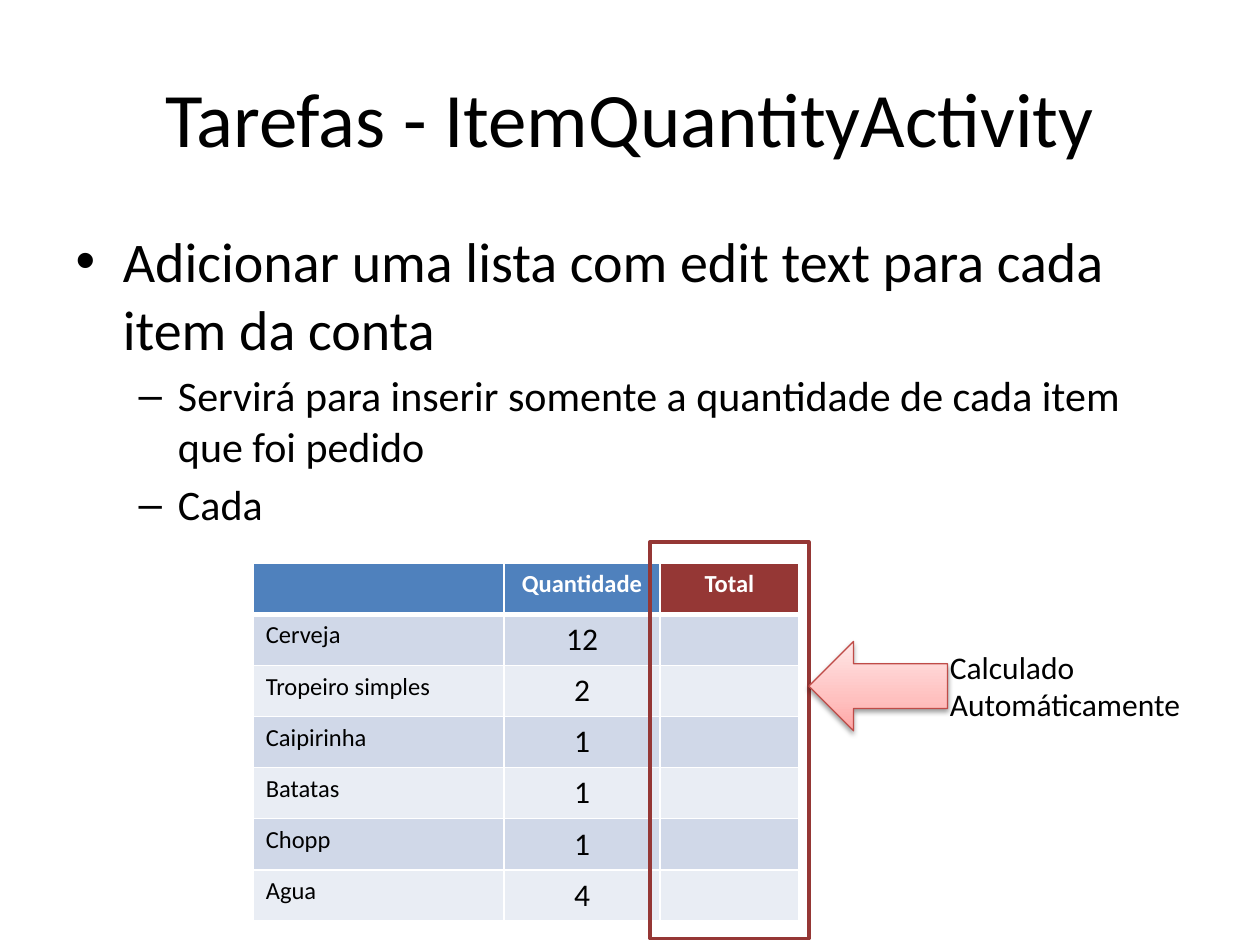
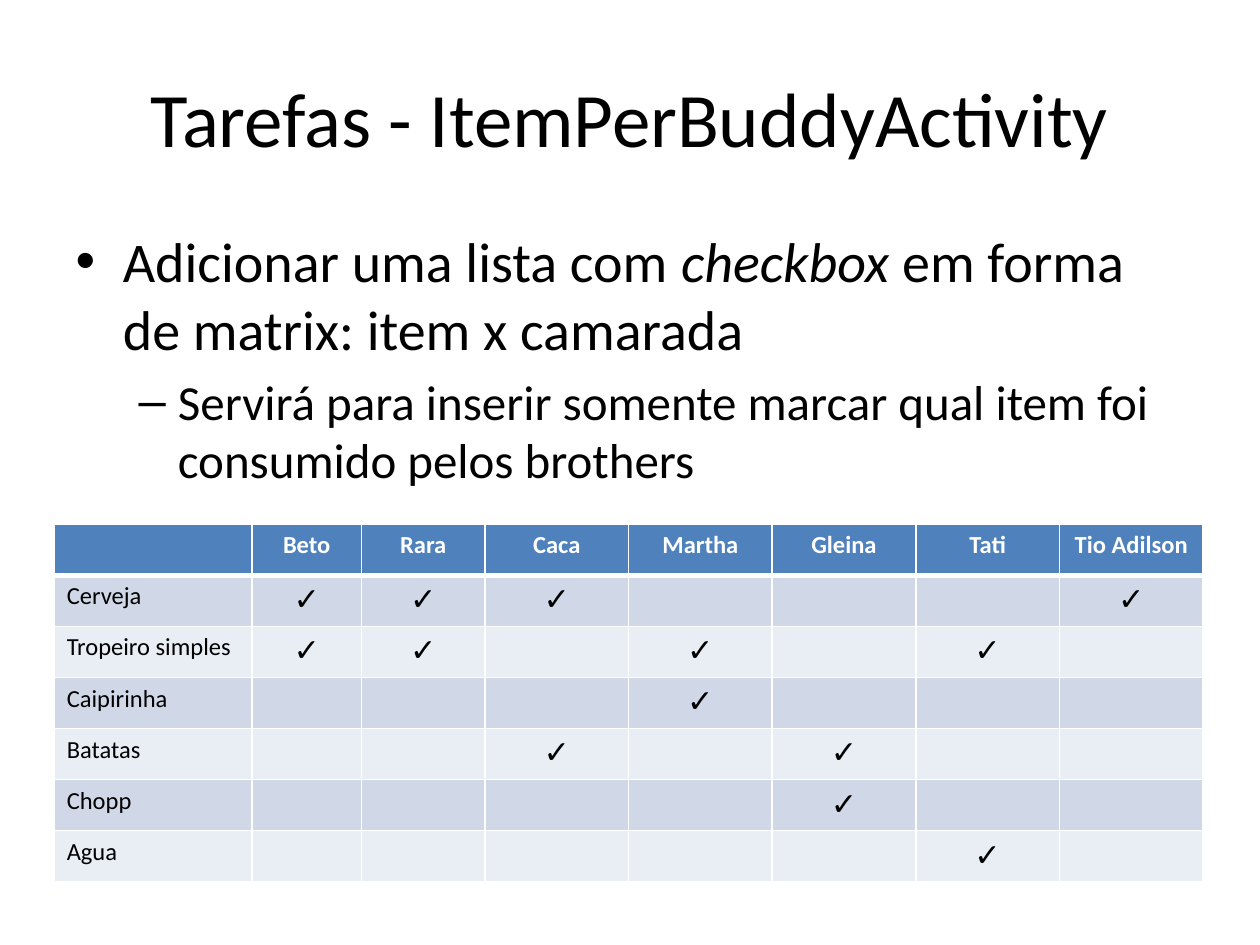
from dataclasses import dataclass

from lxml.etree import SubElement
from pptx import Presentation
from pptx.dml.color import RGBColor
from pptx.enum.shapes import MSO_SHAPE
from pptx.enum.text import MSO_AUTO_SIZE, PP_ALIGN
from pptx.oxml import parse_xml
from pptx.oxml.ns import nsdecls, qn
from pptx.util import Inches, Pt


@dataclass(frozen=True)
class Theme:
    font: str = "Calibri"
    mark_font: str = "Roboto"
    black: str = "000000"
    white: str = "FFFFFF"
    blue: str = "4F81BD"
    red: str = "953735"
    bands: tuple = ("D0D8E8", "E9EDF4")
    arrow_stops: tuple = ((0, "FFA6A5"), (35, "FFC0BF"), (100, "FFE7E7"))
    arrow_line: str = "BF4C48"
    title: int = 44
    lead: int = 32
    point: int = 28
    small: int = 24
    value: int = 18
    label: int = 14


THEME = Theme()
ITEMS = ["Cerveja", "Tropeiro simples", "Caipirinha", "Batatas", "Chopp", "Agua"]
COUNTS = ["12", "2", "1", "1", "1", "4"]
BUDDIES = ["Beto", "Rara", "Caca", "Martha", "Gleina", "Tati", "Tio Adilson"]
EATEN = {
    "Cerveja": ["Beto", "Rara", "Caca", "Tio Adilson"],
    "Tropeiro simples": ["Beto", "Rara", "Martha", "Tati"],
    "Caipirinha": ["Martha"],
    "Batatas": ["Caca", "Gleina"],
    "Chopp": ["Gleina"],
    "Agua": ["Tati"],
}
ROW = 0.405


def box(*sizes):
    return [Inches(size) for size in sizes]


def write(para, text, size=THEME.value, font=THEME.font, color=THEME.black,
          bold=False, italic=False, align=None):
    """Add one formatted run to a paragraph."""
    run = para.add_run()
    run.text = text
    run.font.size = Pt(size)
    run.font.name = font
    run.font.bold = bold
    run.font.italic = italic
    run.font.color.rgb = RGBColor.from_string(color)
    if align is not None:
        para.alignment = align


def place(shape, *area):
    shape.left, shape.top, shape.width, shape.height = box(*area)


def add_slide(deck, title, points):
    """Add a titled list; each point is (level, size, parts), odd parts italic."""
    slide = deck.slides.add_slide(deck.slide_layouts[1])
    head, body = slide.placeholders
    place(head, 0.5, 0.3, 9, 1.25)
    place(body, 0.5, 1.75, 9, 4.95)
    write(head.text_frame.paragraphs[0], title, size=THEME.title,
          align=PP_ALIGN.CENTER)
    frame = body.text_frame
    for index, (level, size, parts) in enumerate(points):
        para = frame.add_paragraph() if index else frame.paragraphs[0]
        para.level = level
        for spot, part in enumerate(parts):
            write(para, part, size=size, italic=spot % 2 == 1)
    return slide


def paint(cell, color):
    cell.fill.solid()
    cell.fill.fore_color.rgb = RGBColor.from_string(color)


def edge(cell, row):
    """Draw white cell borders, with a thick rule under the header row."""
    props = cell._tc.get_or_add_tcPr()
    for spot, side in enumerate("LRTB"):
        thick = (row, side) in ((0, "B"), (1, "T"))
        line = parse_xml(
            f'<a:ln{side} {nsdecls("a")} w="{Pt(3 if thick else 1)}"><a:solidFill>'
            f'<a:srgbClr val="{THEME.white}"/></a:solidFill></a:ln{side}>')
        props.insert(spot, line)


def add_grid(slide, left, top, widths, rows, font=THEME.font, accent=None):
    """Add a table with a header row; accent is the index of a red header."""
    frame = slide.shapes.add_table(
        len(rows), len(widths), *box(left, top, sum(widths), ROW * len(rows)))
    table = frame.table
    for column, width in zip(table.columns, widths):
        column.width = Inches(width)
    for r, texts in enumerate(rows):
        table.rows[r].height = Inches(ROW)
        for c, text in enumerate(texts):
            cell = table.cell(r, c)
            if r == 0:
                paint(cell, THEME.red if c == accent else THEME.blue)
                style = dict(size=THEME.label, color=THEME.white, bold=True,
                             align=PP_ALIGN.CENTER)
            else:
                paint(cell, THEME.bands[(r - 1) % 2])
                style = (dict(font=font, align=PP_ALIGN.CENTER) if c
                         else dict(size=THEME.label))
            edge(cell, r)
            if text:
                write(cell.text_frame.paragraphs[0], text, **style)


def add_form(slide, kind, area, color, width):
    shape = slide.shapes.add_shape(kind, *box(*area))
    shape.shadow.inherit = False
    shape.fill.background()
    shape.line.color.rgb = RGBColor.from_string(color)
    shape.line.width = Pt(width)
    return shape


def shade(shape):
    """Give a shape the upward red gradient and a soft shadow below."""
    shape.fill.gradient()
    props = shape._element.spPr
    stops = props.find(qn("a:gradFill")).find(qn("a:gsLst"))
    for stop in list(stops):
        stops.remove(stop)
    for spot, color in THEME.arrow_stops:
        stop = SubElement(stops, qn("a:gs"), pos=str(spot * 1000))
        SubElement(stop, qn("a:srgbClr"), val=color)
    shape.fill.gradient_angle = 90
    props.find(qn("a:effectLst")).append(parse_xml(
        f'<a:outerShdw {nsdecls("a")} blurRad="{Pt(3.1)}" dist="{Pt(1.6)}" '
        f'dir="5400000" rotWithShape="0"><a:srgbClr val="{THEME.black}">'
        '<a:alpha val="38000"/></a:srgbClr></a:outerShdw>'))


def add_note(slide, area, text):
    frame = slide.shapes.add_textbox(*box(*area)).text_frame
    frame.word_wrap = True
    frame.auto_size = MSO_AUTO_SIZE.SHAPE_TO_FIT_TEXT
    write(frame.paragraphs[0], text)


def add_counts(deck):
    slide = add_slide(deck, "Tarefas - ItemQuantityActivity", [
        (0, THEME.lead,
         ["Adicionar uma lista com edit text para cada item da conta"]),
        (1, THEME.small,
         ["Servirá para inserir somente a quantidade de cada item que foi pedido"]),
        (1, THEME.small, ["Cada"]),
    ])
    rows = [["", "Quantidade", "Total"]]
    rows += [[item, count, ""] for item, count in zip(ITEMS, COUNTS)]
    add_grid(slide, 2.01, 4.47, [1.99, 1.24, 1.1], rows, accent=2)
    add_form(slide, MSO_SHAPE.RECTANGLE, (5.16, 4.3, 1.26, 3.15), THEME.red, 2)
    arrow = add_form(slide, MSO_SHAPE.LEFT_ARROW, (6.42, 5.09, 1.1, 0.71),
                     THEME.arrow_line, 0.75)
    shade(arrow)
    add_note(slide, (7.44, 5.09, 2.28, 0.71), "Calculado Automáticamente")


def add_matrix(deck):
    slide = add_slide(deck, "Tarefas - ItemPerBuddyActivity", [
        (0, THEME.lead, ["Adicionar uma lista com ", "checkbox ",
                         "em forma de matrix: item x camarada"]),
        (1, THEME.point, ["Servirá para inserir somente marcar qual item foi "
                          "consumido pelos brothers"]),
    ])
    rows = [["", *BUDDIES]]
    for item in ITEMS:
        rows.append([item] + ["✓" if name in EATEN[item] else ""
                              for name in BUDDIES])
    add_grid(slide, 0.43, 4.16, [1.57, 0.87, 0.98] + [1.14] * 5, rows,
             font=THEME.mark_font)


def main():
    deck = Presentation()
    deck.slide_width, deck.slide_height = box(10, 7.5)
    add_counts(deck)
    add_matrix(deck)
    deck.save("out.pptx")


if __name__ == "__main__":
    main()
